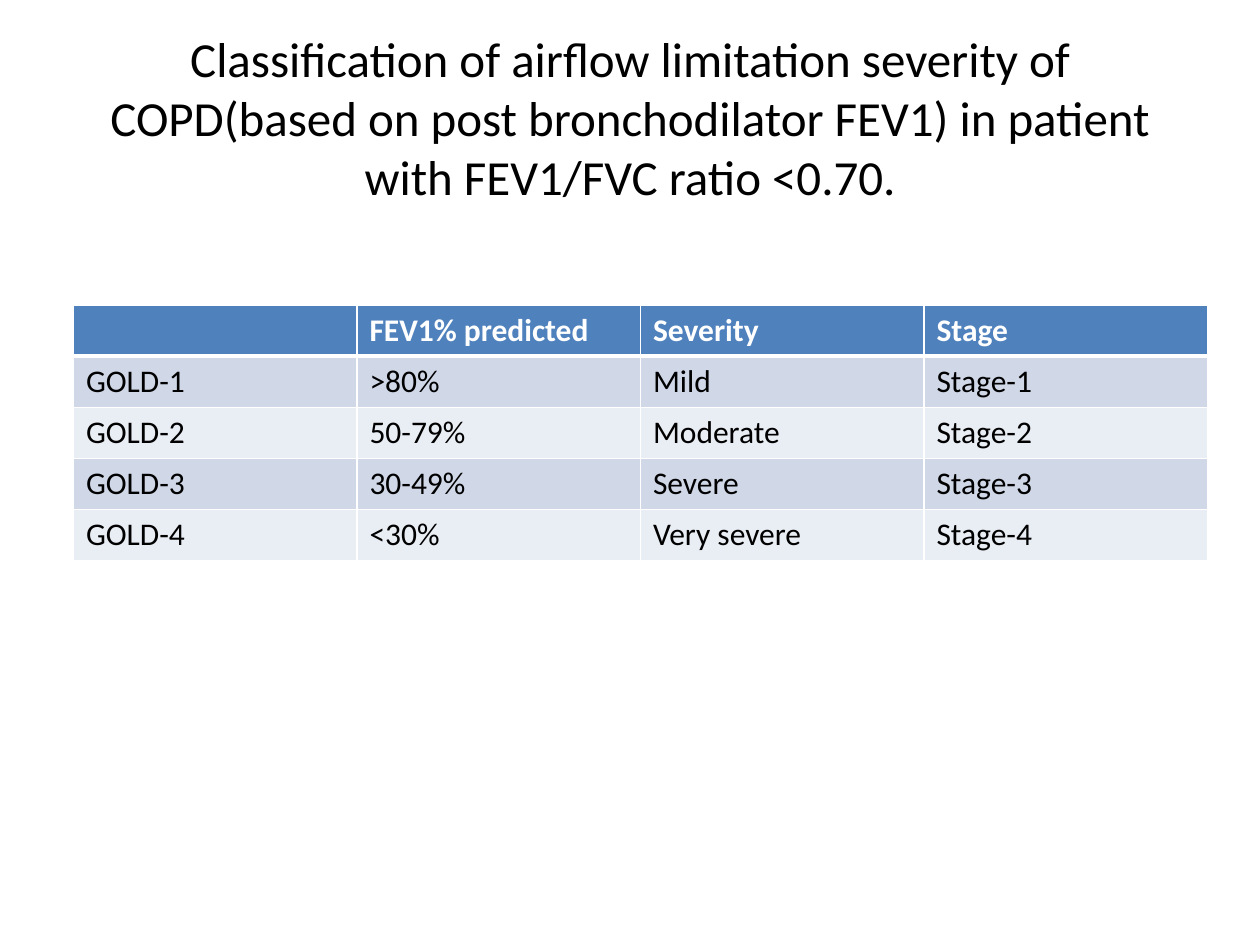
from lxml.etree import SubElement
from pptx import Presentation
from pptx.dml.color import RGBColor
from pptx.enum.text import MSO_ANCHOR, MSO_AUTO_SIZE, PP_ALIGN
from pptx.oxml.ns import qn
from pptx.util import Cm, Pt

BLACK = RGBColor(0x00, 0x00, 0x00)
WHITE = RGBColor(0xFF, 0xFF, 0xFF)
HEADER_BLUE = RGBColor(0x4F, 0x81, 0xBD)
BAND_DARK = RGBColor(0xD0, 0xD8, 0xE8)
BAND_LIGHT = RGBColor(0xE9, 0xED, 0xF4)
FONT = "Calibri"

TITLE = (
    "Classification of airflow limitation severity of COPD(based on post "
    "bronchodilator FEV1) in patient with FEV1/FVC ratio <0.70."
)
SEVERITY_ROWS = [
    ("", "FEV1% predicted", "Severity", "Stage"),
    ("GOLD-1", ">80%", "Mild", "Stage-1"),
    ("GOLD-2", "50-79%", "Moderate", "Stage-2"),
    ("GOLD-3", "30-49%", "Severe", "Stage-3"),
    ("GOLD-4", "<30%", "Very severe", "Stage-4"),
]


def format_paragraph(para, size, color, bold=False):
    font = para.font
    font.name, font.size, font.bold = FONT, Pt(size), bold
    font.color.rgb = color


def add_title(slide):
    title = slide.shapes.title
    title.left, title.top = Cm(1.27), Cm(0.76)
    title.width, title.height = Cm(22.86), Cm(3.18)
    frame = title.text_frame
    frame.text = TITLE
    frame.word_wrap = True
    frame.auto_size = MSO_AUTO_SIZE.NONE
    frame.vertical_anchor = MSO_ANCHOR.MIDDLE
    para = frame.paragraphs[0]
    para.alignment = PP_ALIGN.CENTER
    format_paragraph(para, 28, BLACK)


def set_borders(cell, top, bottom):
    """Draw white cell borders; call before filling, as the schema puts lines first."""
    properties = cell._tc.get_or_add_tcPr()
    for side, points in (("L", 1), ("R", 1), ("T", top), ("B", bottom)):
        line = SubElement(properties, qn(f"a:ln{side}"), w=str(Pt(points)))
        fill = SubElement(line, qn("a:solidFill"))
        SubElement(fill, qn("a:srgbClr"), val=str(WHITE))


def format_cell(cell, text, row):
    is_header = row == 0
    set_borders(cell, top=3 if row == 1 else 1, bottom=3 if is_header else 1)
    cell.fill.solid()
    band = BAND_DARK if row % 2 else BAND_LIGHT
    cell.fill.fore_color.rgb = HEADER_BLUE if is_header else band
    cell.text = text
    format_paragraph(
        cell.text_frame.paragraphs[0], 18, WHITE if is_header else BLACK, is_header
    )


def add_severity_table(slide):
    frame = slide.shapes.add_table(
        len(SEVERITY_ROWS), len(SEVERITY_ROWS[0]),
        Cm(1.48), Cm(6.15), Cm(22.86), Cm(5.15),
    )
    for row, texts in enumerate(SEVERITY_ROWS):
        for column, text in enumerate(texts):
            format_cell(frame.table.cell(row, column), text, row)


def main():
    deck = Presentation()
    deck.slide_width, deck.slide_height = Cm(25.4), Cm(19.05)
    slide = deck.slides.add_slide(deck.slide_layouts.get_by_name("Title Only"))
    add_title(slide)
    add_severity_table(slide)
    deck.save("out.pptx")


if __name__ == "__main__":
    main()
